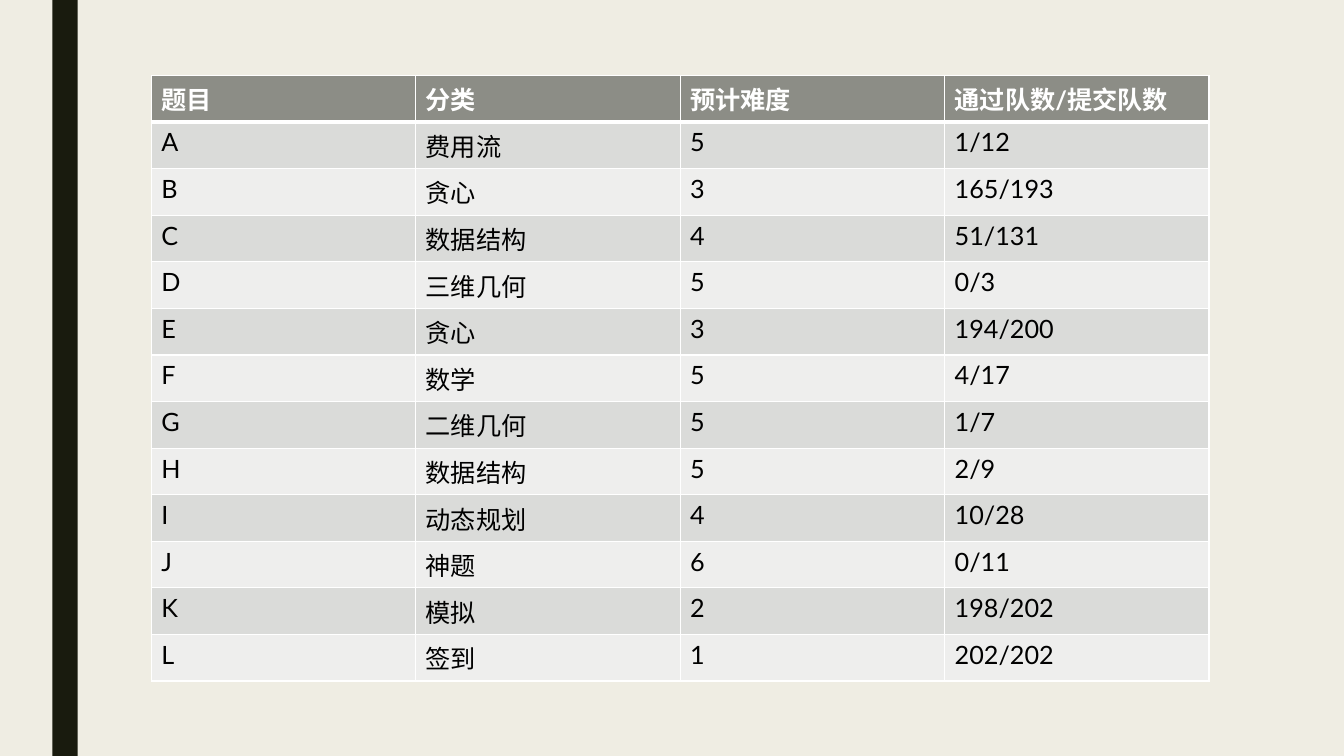
from lxml import etree
from pptx import Presentation
from pptx.dml.color import RGBColor
from pptx.enum.shapes import MSO_SHAPE
from pptx.oxml.ns import qn
from pptx.util import Cm, Pt

RECT = MSO_SHAPE.RECTANGLE
FONT = "Lato"
COLORS = {
    "back": "EFEDE3",
    "bar": "191B0E",
    "head": "8C8D86",
    "odd": "DADBD9",
    "even": "EEEEED",
    "white": "FFFFFF",
    "black": "000000",
}
HEAD = ("题目", "分类", "预计难度", "通过队数/提交队数")
TASKS = [
    ("A", "费用流", "5", "1/12"),
    ("B", "贪心", "3", "165/193"),
    ("C", "数据结构", "4", "51/131"),
    ("D", "三维几何", "5", "0/3"),
    ("E", "贪心", "3", "194/200"),
    ("F", "数学", "5", "4/17"),
    ("G", "二维几何", "5", "1/7"),
    ("H", "数据结构", "5", "2/9"),
    ("I", "动态规划", "4", "10/28"),
    ("J", "神题", "6", "0/11"),
    ("K", "模拟", "2", "198/202"),
    ("L", "签到", "1", "202/202"),
]


def paint(fill, name):
    fill.solid()
    fill.fore_color.rgb = RGBColor.from_string(COLORS[name])


def write(frame, text, size=18, color="black", bold=False):
    run = frame.paragraphs[0].add_run()
    run.text = text
    font = run.font
    font.name, font.size, font.bold = FONT, Pt(size), bold
    font.color.rgb = RGBColor.from_string(COLORS[color])


def edge(cell, base):
    """Draw white cell borders, with the bottom one base points wide."""
    props = cell._tc.get_or_add_tcPr()
    sides = (("a:lnL", 1), ("a:lnR", 1), ("a:lnT", 1), ("a:lnB", base))
    for spot, (tag, width) in enumerate(sides):
        line = etree.Element(qn(tag), w=str(Pt(width)))
        fill = etree.SubElement(line, qn("a:solidFill"))
        etree.SubElement(fill, qn("a:srgbClr"), val=COLORS["white"])
        props.insert(spot, line)


def add_bar(slide, left, top, width, height):
    bar = slide.shapes.add_shape(RECT, left, top, width, height)
    bar.shadow.inherit = False
    paint(bar.fill, "bar")
    bar.line.fill.background()


def add_grid(slide, left, top, width, height):
    rows = [HEAD] + TASKS
    table = slide.shapes.add_table(
        len(rows), len(HEAD), left, top, width, height).table
    for r, row in enumerate(rows):
        first = r == 0
        shade = "head" if first else "odd" if r % 2 else "even"
        for c, text in enumerate(row):
            cell = table.cell(r, c)
            paint(cell.fill, shade)
            edge(cell, 3 if first else 1)
            write(cell.text_frame, text,
                  color="white" if first else "black", bold=first)


def main():
    deck = Presentation()
    deck.slide_width, deck.slide_height = Cm(33.87), Cm(19.05)
    slide = deck.slides.add_slide(deck.slide_layouts[6])
    paint(slide.background.fill, "back")
    add_bar(slide, Cm(1.32), 0, Cm(0.64), deck.slide_height)
    add_grid(slide, Cm(3.81), Cm(1.9), Cm(26.66), Cm(13.39))
    deck.save("out.pptx")


if __name__ == "__main__":
    main()
